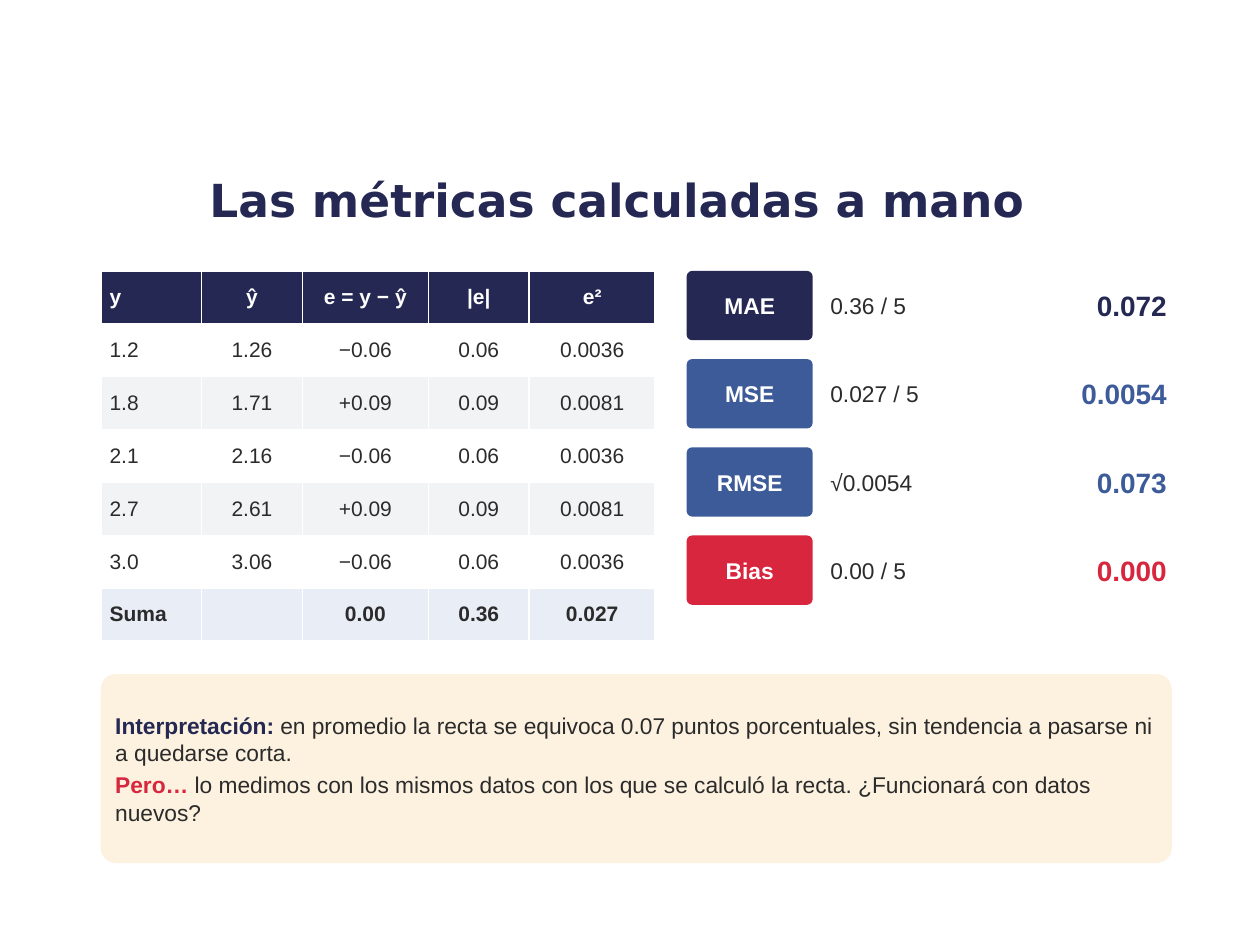
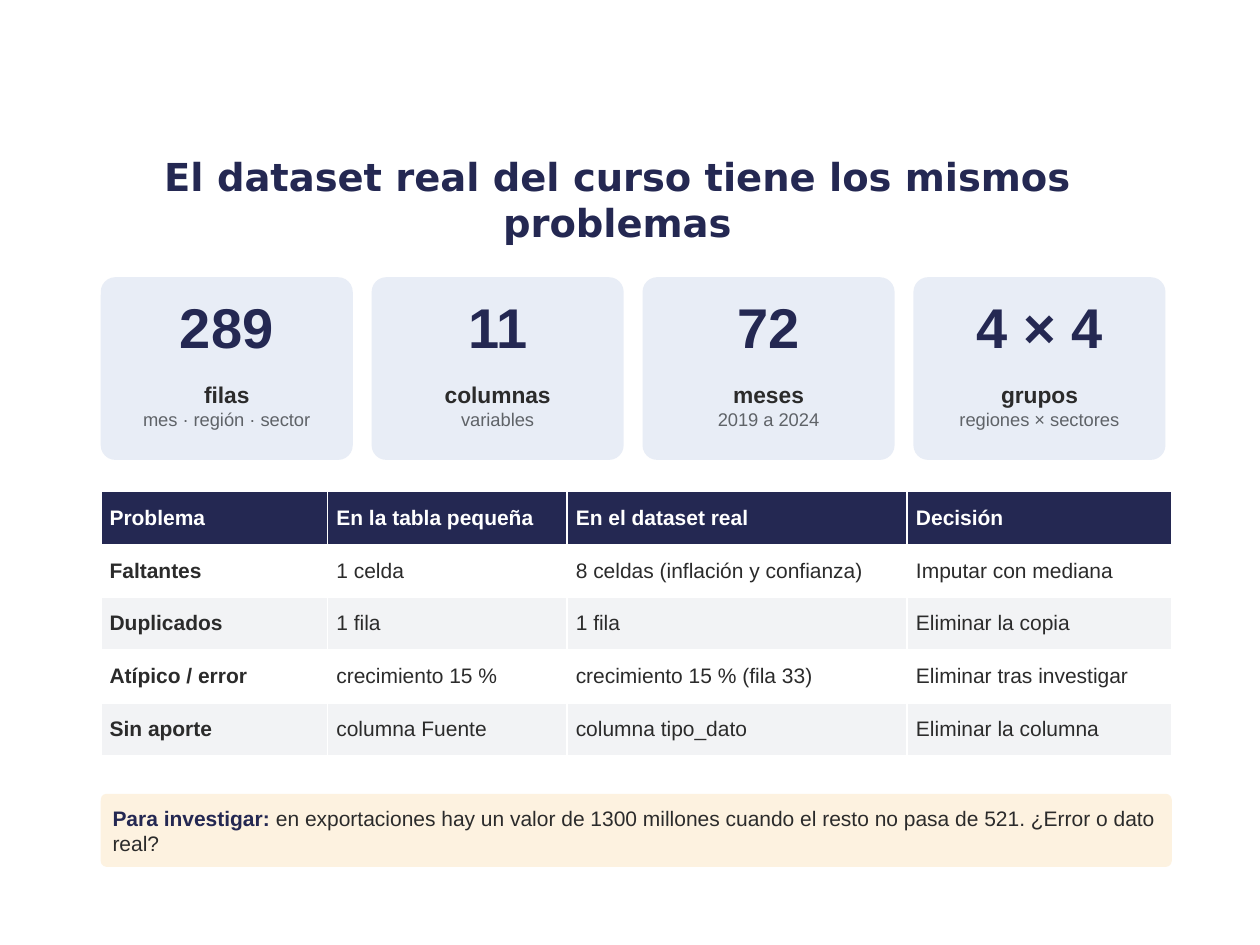
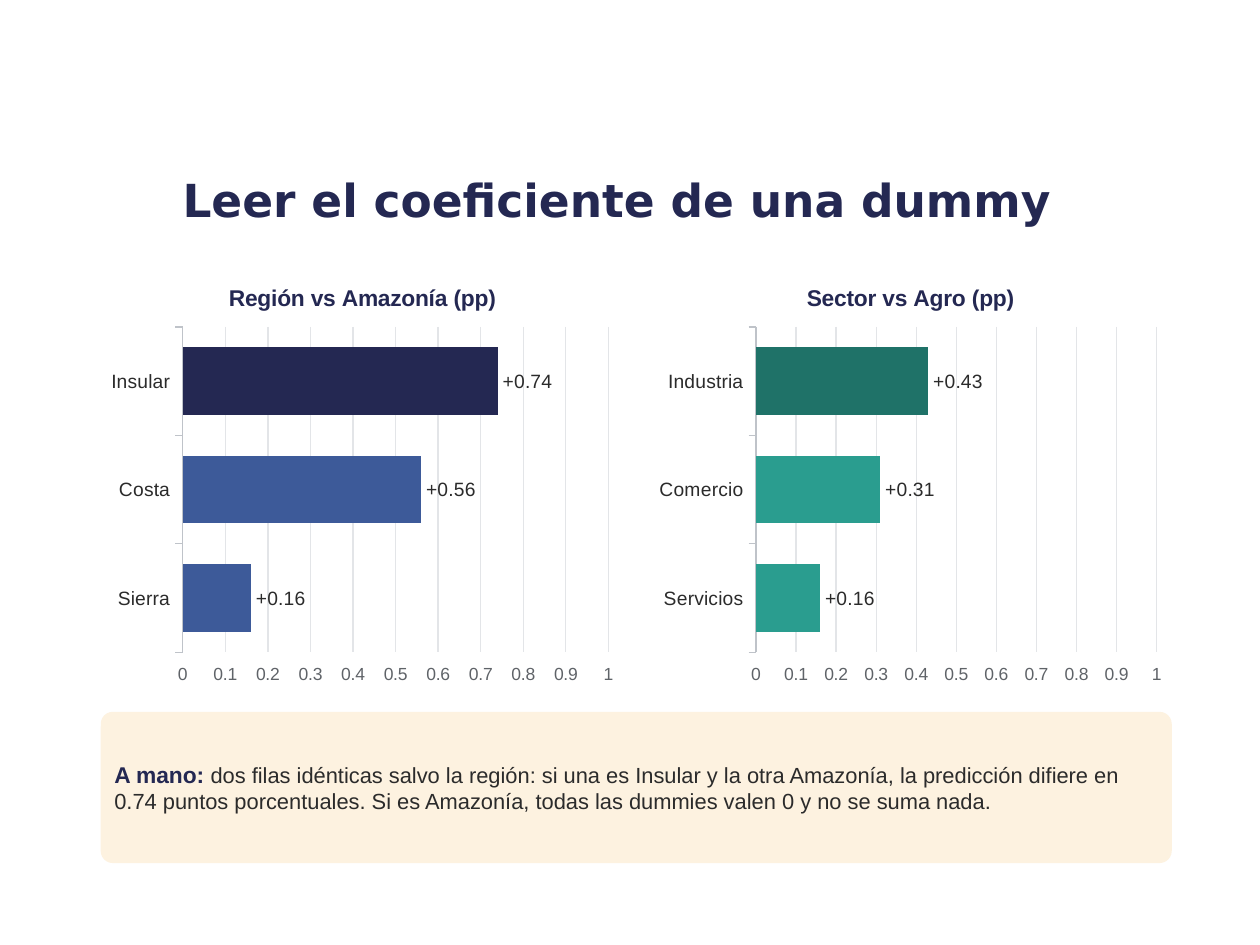
from pptx import Presentation
from pptx.chart.data import CategoryChartData as ChartData
from pptx.dml.color import RGBColor as RGB
from pptx.enum.chart import XL_CHART_TYPE as KIND
from pptx.enum.chart import XL_LABEL_POSITION as SPOT
from pptx.enum.chart import XL_TICK_LABEL_POSITION as TICK
from pptx.enum.shapes import MSO_SHAPE as SHAPE
from pptx.enum.text import MSO_ANCHOR as ANCHOR
from pptx.enum.text import PP_ALIGN as ALIGN
from pptx.util import Inches, Pt

# Shared look
NAVY = RGB(0x24, 0x28, 0x52)
BLUE = RGB(0x3D, 0x5A, 0x99)
RED = RGB(0xD7, 0x26, 0x3D)
TEAL = RGB(0x2A, 0x9D, 0x8F)
PINE = RGB(0x1F, 0x72, 0x68)
INK = RGB(0x2B, 0x2B, 0x2B)
GRAY = RGB(0x5F, 0x63, 0x68)
AXIS = RGB(0xBF, 0xC3, 0xC9)
GRID = RGB(0xE3, 0xE5, 0xE8)
BAND = RGB(0xF2, 0xF3, 0xF5)
ICE = RGB(0xE8, 0xED, 0xF6)
CREAM = RGB(0xFD, 0xF2, 0xE0)
WHITE = RGB(0xFF, 0xFF, 0xFF)
BODY, HEAD = "Arial", "DejaVu Sans"
LEFT, WIDE = 0.8, 8.5
ROW = 0.42


# Text helpers
def style(font, size, color, bold=False, face=BODY):
    font.name, font.size, font.bold = face, Pt(size), bold
    font.color.rgb = color


def write(frame, paras, align=ALIGN.LEFT, after=0, face=BODY):
    """Each paragraph is a list of (text, size, color, bold) runs."""
    frame.word_wrap = True
    for i, runs in enumerate(paras):
        para = frame.add_paragraph() if i else frame.paragraphs[0]
        para.alignment = align
        para.space_after = Pt(after)
        for text, size, color, bold in runs:
            run = para.add_run()
            run.text = text
            style(run.font, size, color, bold, face)


def inset(item, x, y):
    item.margin_left = item.margin_right = Inches(x)
    item.margin_top = item.margin_bottom = Inches(y)


def label(slide, box, paras, align=ALIGN.LEFT, anchor=ANCHOR.MIDDLE,
          after=4, pad=(0.04, 0.04), face=BODY):
    frame = slide.shapes.add_textbox(*map(Inches, box)).text_frame
    inset(frame, *pad)
    frame.vertical_anchor = anchor
    write(frame, paras, align, after, face)


def panel(slide, box, fill, paras=(), align=ALIGN.LEFT):
    shape = slide.shapes.add_shape(SHAPE.ROUNDED_RECTANGLE, *map(Inches, box))
    shape.adjustments[0] = 0.08
    shape.shadow.inherit = False
    shape.fill.solid()
    shape.fill.fore_color.rgb = fill
    shape.line.fill.background()
    inset(shape.text_frame, 0.08, 0.08)
    shape.text_frame.vertical_anchor = ANCHOR.MIDDLE
    write(shape.text_frame, paras, align, after=3)


def note(slide, top, high, paras):
    panel(slide, (LEFT, top, WIDE, high), CREAM, paras)


def start(deck, title, size=26):
    slide = deck.slides.add_slide(deck.slide_layouts[6])
    label(slide, (0.75, 1.18, 8.3, 0.8), [[(title, size, NAVY, True)]],
          ALIGN.CENTER, after=0, pad=(0.1, 0.05), face=HEAD)
    return slide


# Tables
def grid(slide, left, top, cols, rows, align=ALIGN.LEFT, total=False,
         strong=False):
    """align holds past the first column; strong makes that column bold."""
    table = slide.shapes.add_table(
        len(rows), len(cols), Inches(left), Inches(top),
        Inches(sum(cols)), Inches(ROW * len(rows))).table
    for col, wide in zip(table.columns, cols):
        col.width = Inches(wide)
    for r, texts in enumerate(rows):
        table.rows[r].height = Inches(ROW)
        head, last = r == 0, total and r == len(rows) - 1
        fill = NAVY if head else ICE if last else WHITE if r % 2 else BAND
        for c, text in enumerate(texts):
            cell = table.cell(r, c)
            cell.fill.solid()
            cell.fill.fore_color.rgb = fill
            cell.vertical_anchor = ANCHOR.MIDDLE
            inset(cell, 0.07, 0.03)
            if text:
                bold = head or last or (strong and c == 0)
                write(cell.text_frame,
                      [[(text, 12, WHITE if head else INK, bold)]],
                      align if c else ALIGN.LEFT)


# Metric line: badge, formula, result
def metric(slide, left, top, name, sum_text, value, color):
    high = 0.55
    panel(slide, (left, top, 1, high), color, [[(name, 13, WHITE, True)]],
          ALIGN.CENTER)
    label(slide, (left + 1.1, top, 1.75, high),
          [[(sum_text, 13, INK, False)]])
    label(slide, (left + 2.75, top, 1.1, high),
          [[(value, 16, color, True)]], ALIGN.RIGHT)


# Card with a large figure
def card(slide, left, top, figure, name, detail):
    panel(slide, (left, top, 2, 1.45), ICE)
    label(slide, (left, top + 0.08, 2, 0.7), [[(figure, 32, NAVY, True)]],
          ALIGN.CENTER, ANCHOR.TOP)
    label(slide, (left, top + 0.78, 2, 0.6),
          [[(name, 13, INK, True)], [(detail, 10.5, GRAY, False)]],
          ALIGN.CENTER, ANCHOR.TOP, after=0)


# Bar chart of coefficients
def bars(slide, box, title, names, values, colors):
    data = ChartData()
    data.categories = names
    data.add_series("Series 1", values)
    chart = slide.shapes.add_chart(
        KIND.BAR_CLUSTERED, *map(Inches, box), data).chart
    style(chart.font, 11, INK)
    chart.has_legend = False
    chart.has_title = True
    write(chart.chart_title.text_frame, [[(title, 13, NAVY, True)]],
          ALIGN.CENTER)
    chart.chart_title.include_in_layout = False

    cats, vals = chart.category_axis, chart.value_axis
    cats.tick_label_position = TICK.LOW
    style(cats.tick_labels.font, 11, INK)
    cats.format.line.color.rgb = AXIS
    cats.format.line.width = Pt(0.75)
    vals.minimum_scale, vals.maximum_scale, vals.major_unit = 0, 1, 0.1
    style(vals.tick_labels.font, 10, GRAY)
    vals.format.line.fill.background()
    vals.major_gridlines.format.line.color.rgb = GRID
    vals.major_gridlines.format.line.width = Pt(0.75)

    plot = chart.plots[0]
    plot.gap_width = 60
    plot.vary_by_categories = False
    plot.has_data_labels = True
    tags = plot.data_labels
    tags.show_value = True
    tags.position = SPOT.OUTSIDE_END
    tags.number_format, tags.number_format_is_linked = "+0.00", False
    style(tags.font, 11, INK)
    for i, color in enumerate(colors):
        fill = plot.series[0].points[i].format.fill
        fill.solid()
        fill.fore_color.rgb = color


# Slides
def metrics(deck):
    slide = start(deck, "Las métricas calculadas a mano")
    low, high = ("−0.06", "0.06", "0.0036"), ("+0.09", "0.09", "0.0081")
    rows = [
        ("y", "ŷ", "e = y − ŷ", "|e|", "e²"),
        ("1.2", "1.26", *low),
        ("1.8", "1.71", *high),
        ("2.1", "2.16", *low),
        ("2.7", "2.61", *high),
        ("3.0", "3.06", *low),
        ("Suma", "", "0.00", "0.36", "0.027"),
    ]
    grid(slide, LEFT, 2.15, (0.8, 0.8, 1, 0.8, 1), rows, ALIGN.CENTER,
         total=True)
    items = [
        ("MAE", "0.36 / 5", "0.072", NAVY),
        ("MSE", "0.027 / 5", "0.0054", BLUE),
        ("RMSE", "√0.0054", "0.073", BLUE),
        ("Bias", "0.00 / 5", "0.000", RED),
    ]
    for i, item in enumerate(items):
        metric(slide, 5.45, 2.15 + 0.7 * i, *item)
    note(slide, 5.35, 1.5, [
        [("Interpretación: ", 13, NAVY, True),
         ("en promedio la recta se equivoca 0.07 puntos porcentuales, "
          "sin tendencia a pasarse ni a quedarse corta.", 13, INK, False)],
        [("Pero… ", 13, RED, True),
         ("lo medimos con los mismos datos con los que se calculó la recta. "
          "¿Funcionará con datos nuevos?", 13, INK, False)],
    ])


def dataset(deck):
    slide = start(
        deck, "El dataset real del curso tiene los mismos problemas", 22)
    cards = [
        ("289", "filas", "mes · región · sector"),
        ("11", "columnas", "variables"),
        ("72", "meses", "2019 a 2024"),
        ("4 × 4", "grupos", "regiones × sectores"),
    ]
    for i, item in enumerate(cards):
        card(slide, LEFT + 2.15 * i, 2.2, *item)
    rows = [
        ("Problema", "En la tabla pequeña", "En el dataset real", "Decisión"),
        ("Faltantes", "1 celda", "8 celdas (inflación y confianza)",
         "Imputar con mediana"),
        ("Duplicados", "1 fila", "1 fila", "Eliminar la copia"),
        ("Atípico / error", "crecimiento 15 %", "crecimiento 15 % (fila 33)",
         "Eliminar tras investigar"),
        ("Sin aporte", "columna Fuente", "columna tipo_dato",
         "Eliminar la columna"),
    ]
    grid(slide, LEFT, 3.9, (1.8, 1.9, 2.7, 2.1), rows, strong=True)
    note(slide, 6.3, 0.58, [
        [("Para investigar: ", 12, NAVY, True),
         ("en exportaciones hay un valor de 1300 millones cuando el resto "
          "no pasa de 521. ¿Error o dato real?", 12, INK, False)],
    ])


def dummies(deck):
    slide = start(deck, "Leer el coeficiente de una dummy")
    charts = [
        ("Región vs Amazonía (pp)", ("Sierra", "Costa", "Insular"),
         (0.16, 0.56, 0.74), (BLUE, BLUE, NAVY)),
        ("Sector vs Agro (pp)", ("Servicios", "Comercio", "Industria"),
         (0.16, 0.31, 0.43), (TEAL, TEAL, PINE)),
    ]
    for i, item in enumerate(charts):
        bars(slide, (LEFT + 4.35 * i, 2.1, 4.15, 3.4), *item)
    note(slide, 5.65, 1.2, [
        [("A mano: ", 13, NAVY, True),
         ("dos filas idénticas salvo la región: si una es Insular y la otra "
          "Amazonía, la predicción difiere en 0.74 puntos porcentuales. "
          "Si es Amazonía, todas las dummies valen 0 y no se suma nada.",
          12.5, INK, False)],
    ])


def main():
    deck = Presentation()
    deck.slide_width, deck.slide_height = Inches(10), Inches(7.5)
    for build in (metrics, dataset, dummies):
        build(deck)
    deck.save("out.pptx")


if __name__ == "__main__":
    main()
